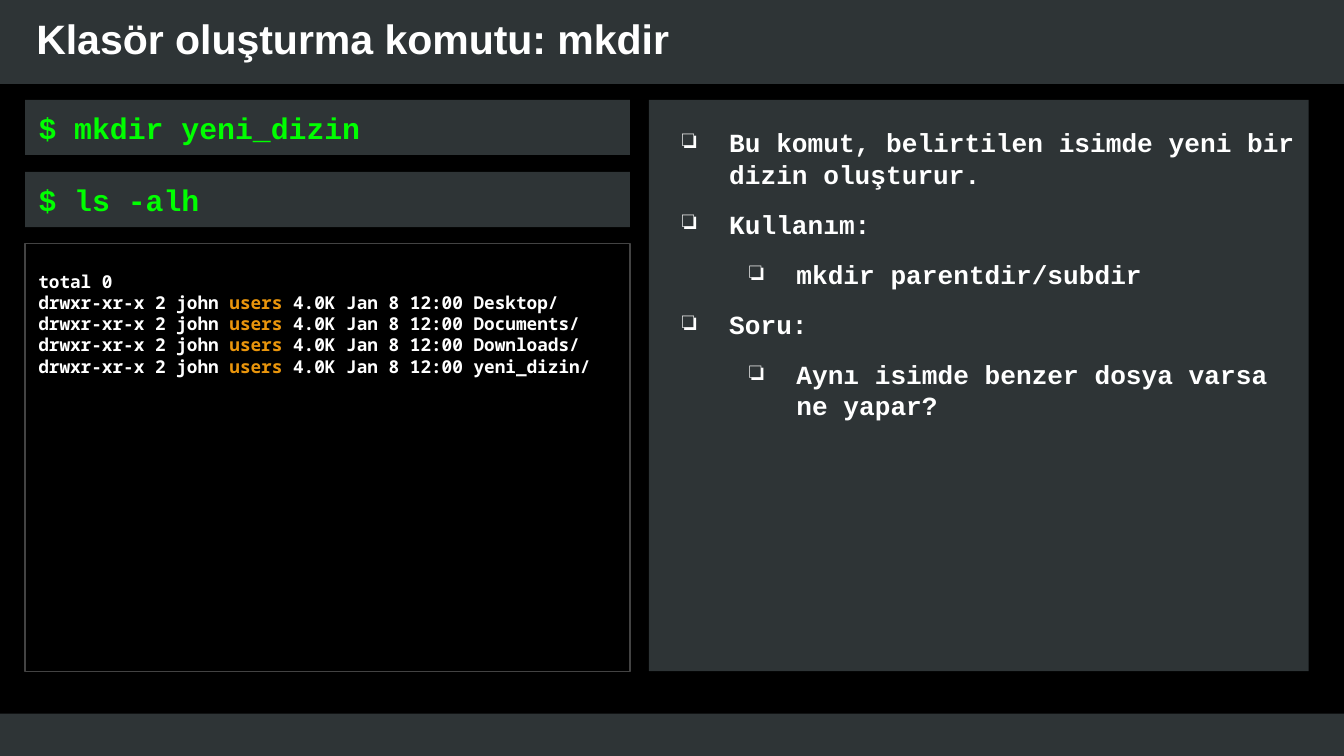
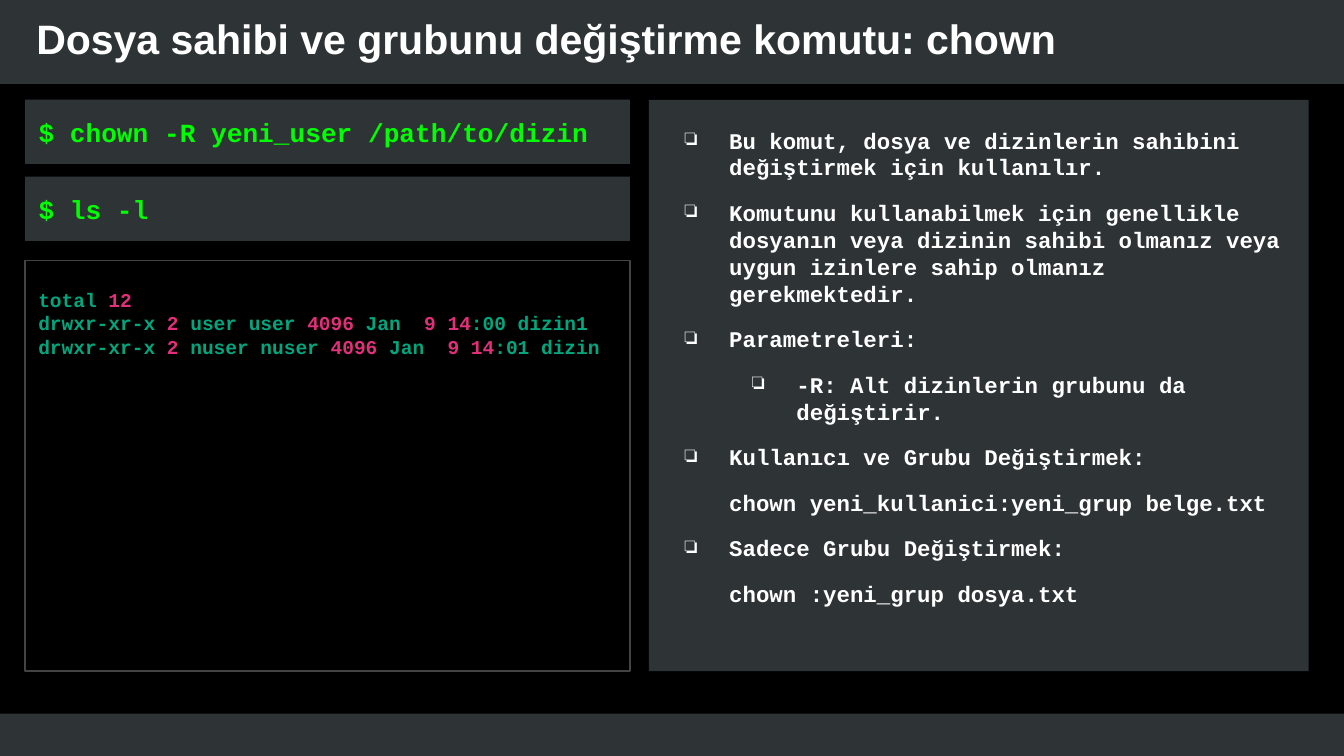
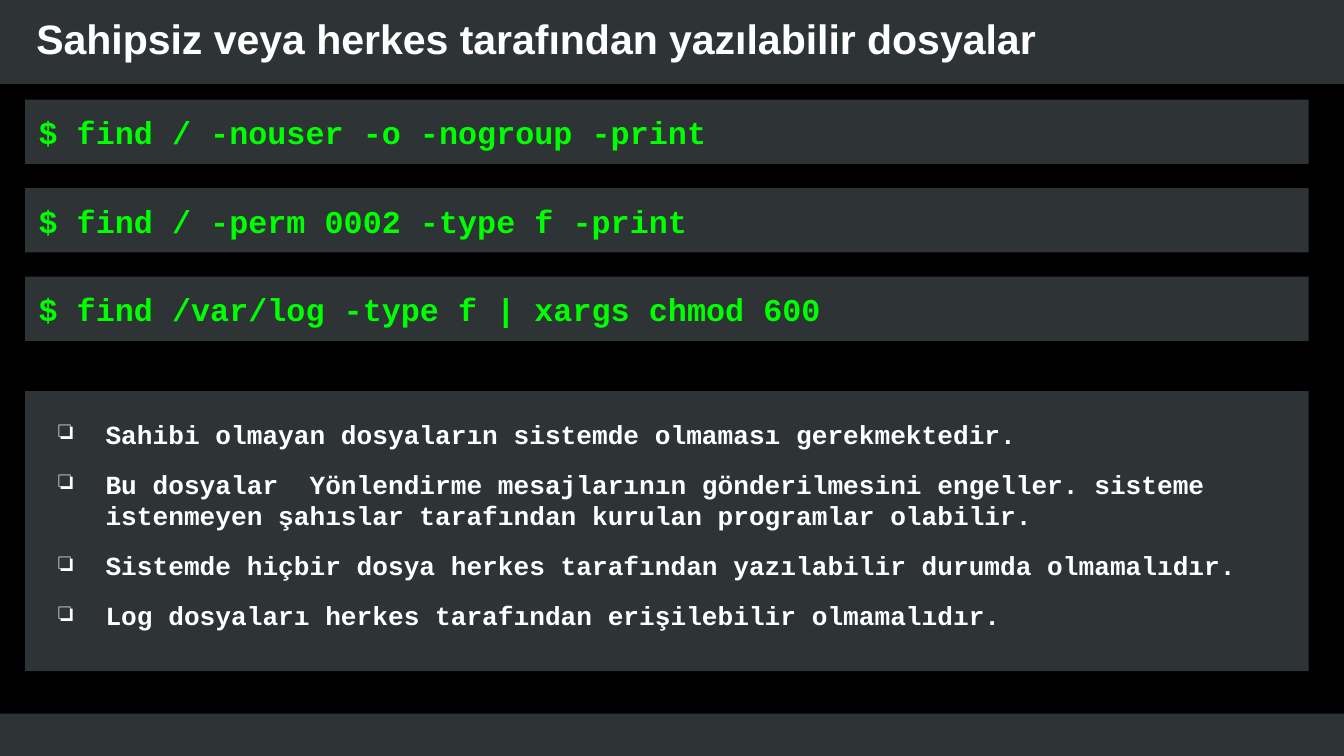
import itertools

import lxml.etree
import pptx
import pptx.dml.color
import pptx.enum.shapes
import pptx.enum.text
import pptx.oxml.ns
import pptx.util

COLORS = {
    "background": "000000",
    "panel": "2E3436",
    "border": "434343",
    "text": "FFFFFF",
    "command": "00FF00",
    "group": "E9950C",
    "listing": "00A67D",
    "number": "DF3079",
}
SANS, MONO, TERMINAL = "Arial", "Courier New", "Noto Sans Mono"
WIDTH, HEIGHT = pptx.util.Inches(10), pptx.util.Inches(5.625)
COLUMN, ROW = WIDTH / 100, HEIGHT / 100
LEFT, TOP, BOTTOM = 1.87, 13.2, 88.8
HALF, FULL = 45, 95.5
NOTES_LEFT = 48.27
NOTES_WIDTH = LEFT + FULL - NOTES_LEFT
TITLE_BOX = (1.7, 0, 85.8, 10)
BANDS = [(-0.3, 94.4, 100.8, 6.6), (-0.3, -1.5, 100.6, 12.6)]
PANEL_INSETS = (0.1, 0.2, 0.1, 0.1)
PARAGRAPH_GAP = 10


def rgb(name):
    return pptx.dml.color.RGBColor.from_string(COLORS[name])


def place(box):
    left, top, width, height = box
    return [int(v) for v in (left * COLUMN, top * ROW, width * COLUMN, height * ROW)]


def add_panel(slide, box, fill="panel", border=None):
    panel = slide.shapes.add_shape(pptx.enum.shapes.MSO_SHAPE.RECTANGLE, *place(box))
    panel.shadow.inherit = False
    if fill:
        panel.fill.solid()
        panel.fill.fore_color.rgb = rgb(fill)
    else:
        panel.fill.background()
    if border:
        panel.line.color.rgb = rgb(border)
        panel.line.width = pptx.util.Pt(0.75)
    else:
        panel.line.fill.background()
    return panel


def set_frame(shape, insets, anchor):
    frame = shape.text_frame
    frame.word_wrap = True
    frame.auto_size = pptx.enum.text.MSO_AUTO_SIZE.NONE
    frame.vertical_anchor = anchor
    sides = ("margin_left", "margin_top", "margin_right", "margin_bottom")
    for side, inset in zip(sides, insets):
        setattr(frame, side, pptx.util.Inches(inset))
    return frame


def add_bullet(properties):
    color = lxml.etree.SubElement(properties, pptx.oxml.ns.qn("a:buClr"))
    lxml.etree.SubElement(color, pptx.oxml.ns.qn("a:srgbClr"), val=COLORS["text"])
    lxml.etree.SubElement(properties, pptx.oxml.ns.qn("a:buChar"), char="❏")


def write(frame, text, size, font=MONO, colors=("text",), first=True,
          level=0, margin=0, indent=0, bullet=False, before=0, after=0):
    paragraph = frame.paragraphs[0] if first else frame.add_paragraph()
    properties = paragraph._p.get_or_add_pPr()
    properties.set("marL", str(pptx.util.Inches(margin)))
    properties.set("indent", str(pptx.util.Inches(indent)))
    if bullet:
        add_bullet(properties)
    paragraph.level = level
    paragraph.alignment = pptx.enum.text.PP_ALIGN.LEFT
    paragraph.line_spacing = pptx.util.Pt(round(size * 1.2, 1))
    paragraph.space_before = pptx.util.Pt(before)
    paragraph.space_after = pptx.util.Pt(after)
    parts = [text] if isinstance(text, str) else text
    for part, color in zip(parts, itertools.cycle(colors)):
        run = paragraph.add_run()
        run.text = part
        run.font.name = font
        run.font.size = pptx.util.Pt(size)
        run.font.bold = True
        run.font.color.rgb = rgb(color)


def add_commands(slide, commands, width, height, step, size):
    for index, command in enumerate(commands):
        panel = add_panel(slide, (LEFT, TOP + index * step, width, height))
        frame = set_frame(panel, (0, 0, 0, 0), pptx.enum.text.MSO_ANCHOR.MIDDLE)
        write(frame, command, size, colors=("command",), margin=0.1)


def add_listing(slide, top, lines, colors, font, size):
    panel = add_panel(slide, (LEFT, top, HALF, BOTTOM - top), None, "border")
    frame = set_frame(panel, PANEL_INSETS, pptx.enum.text.MSO_ANCHOR.TOP)
    for index, line in enumerate(lines):
        write(frame, line, size, font=font, colors=colors, first=index == 0)


def add_notes(slide, box, notes, size, hanging):
    frame = set_frame(add_panel(slide, box), PANEL_INSETS, pptx.enum.text.MSO_ANCHOR.TOP)
    for index, (level, text) in enumerate(notes):
        bullet = level is not None
        write(frame, text, size, first=index == 0, level=level or 0, bullet=bullet,
              margin=0.5 * (level + 1) if bullet else 0,
              indent=-hanging if bullet else 0.5,
              before=PARAGRAPH_GAP if index else 0,
              after=PARAGRAPH_GAP if index == len(notes) - 1 else 0)


def add_bands(slide, layout):
    for index, box in enumerate(BANDS):
        band = add_panel(slide, box).element
        band.nvSpPr.cNvPr.set("id", str(20 + index))
        layout.shapes.element.insert(2 + index, band)


def add_titled_slide(deck, title):
    slide = deck.slides.add_slide(deck.slide_layouts[5])
    heading = slide.shapes.title
    heading.left, heading.top, heading.width, heading.height = place(TITLE_BOX)
    frame = set_frame(heading, (0.1,) * 4, pptx.enum.text.MSO_ANCHOR.MIDDLE)
    write(frame, title, 22, font=SANS)
    return slide


def build_mkdir(deck):
    slide = add_titled_slide(deck, "Klasör oluşturma komutu: mkdir")
    folders = ("Desktop", "Documents", "Downloads", "yeni_dizin")
    lines = [["total 0"]] + [
        ["drwxr-xr-x 2 john ", "users", f" 4.0K Jan 8 12:00 {folder}/"] for folder in folders
    ]
    add_listing(slide, 32.2, lines, ("text", "group"), TERMINAL, 9.5)
    add_commands(slide, ["$ mkdir yeni_dizin", "$ ls -alh"], HALF, 7.3, 9.55, 16)
    add_notes(slide, (NOTES_LEFT, TOP, NOTES_WIDTH, BOTTOM - TOP), [
        (0, "Bu komut, belirtilen isimde yeni bir dizin oluşturur."),
        (0, "Kullanım:"),
        (1, "mkdir parentdir/subdir"),
        (0, "Soru:"),
        (1, "Aynı isimde benzer dosya varsa ne yapar?"),
    ], 14, 0.35)
    return slide


def build_chown(deck):
    slide = add_titled_slide(deck, "Dosya sahibi ve grubunu değiştirme komutu: chown")
    entries = [("user user ", ":00 dizin1"), ("nuser nuser ", ":01 dizin")]
    lines = [["total ", "12"]] + [
        ["drwxr-xr-x ", "2 ", owner, "4096 ", "Jan  ", "9 14", ending]
        for owner, ending in entries
    ]
    add_commands(slide, ["$ chown -R yeni_user /path/to/dizin", "$ ls -l"],
                 HALF, 8.5, 10.18, 14)
    add_notes(slide, (NOTES_LEFT, TOP, NOTES_WIDTH, BOTTOM - TOP), [
        (0, "Bu komut, dosya ve dizinlerin sahibini değiştirmek için kullanılır."),
        (0, "Komutunu kullanabilmek için genellikle dosyanın veya dizinin sahibi "
            "olmanız veya uygun izinlere sahip olmanız gerekmektedir."),
        (0, "Parametreleri:"),
        (1, "-R: Alt dizinlerin grubunu da değiştirir."),
        (0, "Kullanıcı ve Grubu Değiştirmek:"),
        (None, "chown yeni_kullanici:yeni_grup belge.txt"),
        (0, "Sadece Grubu Değiştirmek:"),
        (None, "chown :yeni_grup dosya.txt"),
    ], 12, 0.33)
    add_listing(slide, 34.5, lines, ("listing", "number"), MONO, 10.5)


def build_find(deck):
    slide = add_titled_slide(deck, "Sahipsiz veya herkes tarafından yazılabilir dosyalar")
    notes_top = 51.75
    add_commands(slide, [
        "$ find / -nouser -o -nogroup -print",
        "$ find / -perm 0002 -type f -print",
        "$ find /var/log -type f | xargs chmod 600",
    ], FULL, 8.5, 11.7, 17)
    add_notes(slide, (LEFT, notes_top, FULL, BOTTOM - notes_top), [
        (0, "Sahibi olmayan dosyaların sistemde olmaması gerekmektedir."),
        (0, "Bu dosyalar  Yönlendirme mesajlarının gönderilmesini engeller. sisteme "
            "istenmeyen şahıslar tarafından kurulan programlar olabilir."),
        (0, "Sistemde hiçbir dosya herkes tarafından yazılabilir durumda olmamalıdır."),
        (0, "Log dosyaları herkes tarafından erişilebilir olmamalıdır."),
    ], 14, 0.35)


def main():
    deck = pptx.Presentation()
    deck.slide_width, deck.slide_height = WIDTH, HEIGHT
    background = deck.slide_master.background.fill
    background.solid()
    background.fore_color.rgb = rgb("background")
    add_bands(build_mkdir(deck), deck.slide_layouts[5])
    build_chown(deck)
    build_find(deck)
    deck.save("out.pptx")


if __name__ == "__main__":
    main()
